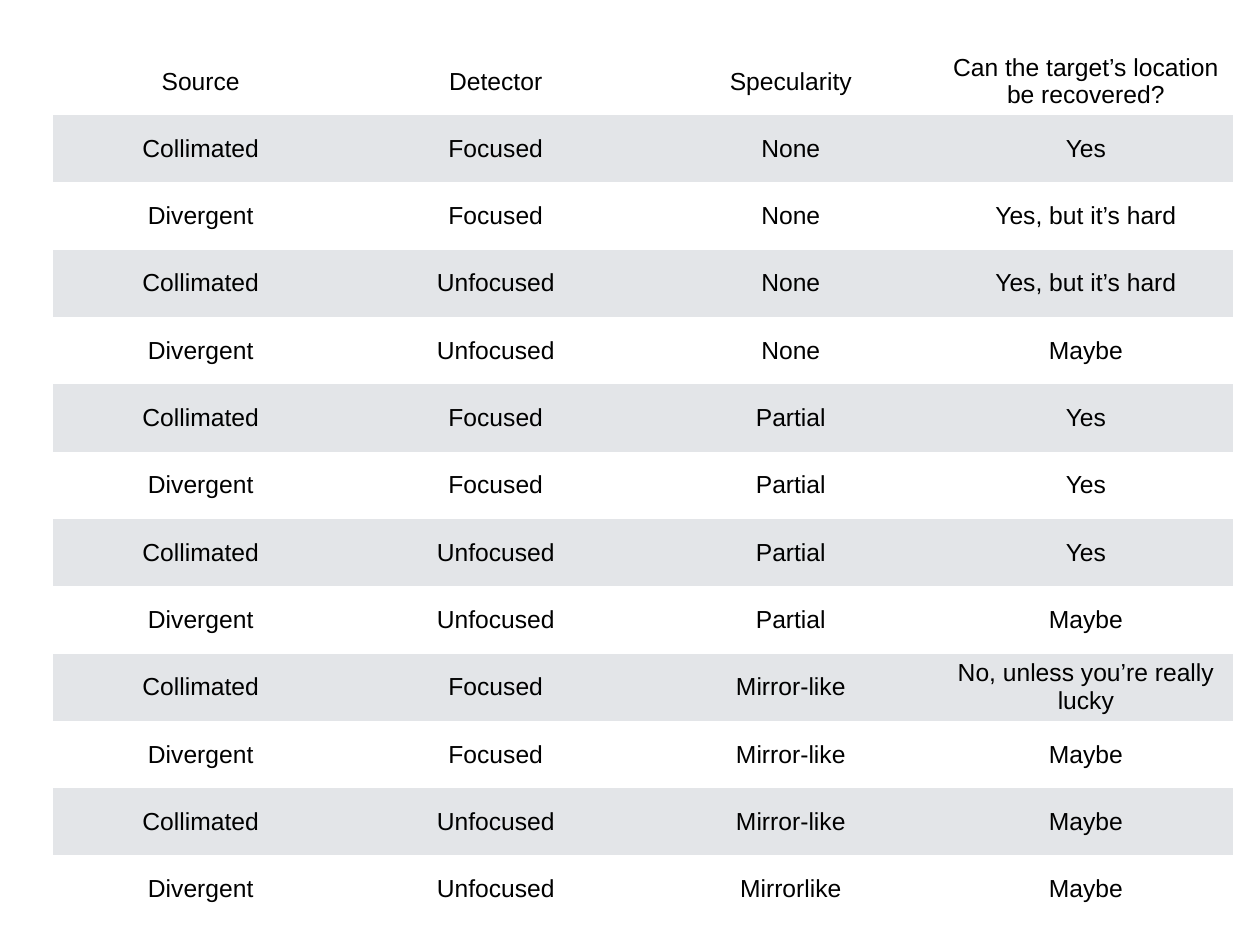
from typing import NamedTuple

from pptx import Presentation
from pptx import util as u
from pptx.dml.color import RGBColor
from pptx.enum import text
from pptx.oxml.ns import qn

PX = 9144  # EMU per px, 100 px to the inch
SLIDE_W, SLIDE_H = 1422, 1067
LEFT, TOP = 60, 54
COL_W, ROW_H = 333, 76
INSET = 6

WHITE = RGBColor(0xFF, 0xFF, 0xFF)
BAND = RGBColor(0xE3, 0xE5, 0xE8)
BLACK = RGBColor(0x00, 0x00, 0x00)
NO_STYLE_NO_GRID = "{2D5ABB26-0587-4C30-8999-92F81FD0307C}"

CELL_FORMAT = {
    "vertical_anchor": text.MSO_ANCHOR.MIDDLE,
    "margin_left": INSET * PX,
    "margin_right": INSET * PX,
    "margin_top": INSET * PX,
    "margin_bottom": INSET * PX,
}
FONT_FORMAT = {"name": "Arial", "size": u.Pt(20)}


class Setup(NamedTuple):
    source: str
    detector: str
    specularity: str
    recovered: str


ROWS = [
    Setup("Source", "Detector", "Specularity", "Can the target’s location be recovered?"),
    Setup("Collimated", "Focused", "None", "Yes"),
    Setup("Divergent", "Focused", "None", "Yes, but it’s hard"),
    Setup("Collimated", "Unfocused", "None", "Yes, but it’s hard"),
    Setup("Divergent", "Unfocused", "None", "Maybe"),
    Setup("Collimated", "Focused", "Partial", "Yes"),
    Setup("Divergent", "Focused", "Partial", "Yes"),
    Setup("Collimated", "Unfocused", "Partial", "Yes"),
    Setup("Divergent", "Unfocused", "Partial", "Maybe"),
    Setup("Collimated", "Focused", "Mirror-like", "No, unless you’re really lucky"),
    Setup("Divergent", "Focused", "Mirror-like", "Maybe"),
    Setup("Collimated", "Unfocused", "Mirror-like", "Maybe"),
    Setup("Divergent", "Unfocused", "Mirrorlike", "Maybe"),
]


def set_attributes(target: object, values: dict) -> None:
    for name, value in values.items():
        setattr(target, name, value)


def fill_cell(cell, label: str, color: RGBColor) -> None:
    set_attributes(cell, CELL_FORMAT)
    cell.fill.solid()
    cell.fill.fore_color.rgb = color
    p = cell.text_frame.paragraphs[0]
    p.alignment = text.PP_ALIGN.CENTER
    r = p.add_run()
    r.text = label
    set_attributes(r.font, FONT_FORMAT)
    r.font.color.rgb = BLACK


def add_setup_table(s, rows: list[Setup]) -> None:
    """Draw the rows as a borderless table, shading every second one."""
    n_cols = len(Setup._fields)
    size = (n_cols * COL_W, len(rows) * ROW_H)
    box = [v * PX for v in (LEFT, TOP, *size)]
    table = s.shapes.add_table(len(rows), n_cols, *box).table
    set_attributes(table, {"first_row": False, "horz_banding": False})
    table._tbl.tblPr.find(qn("a:tableStyleId")).text = NO_STYLE_NO_GRID
    for i, setup in enumerate(rows):
        for j, label in enumerate(setup):
            fill_cell(table.cell(i, j), label, BAND if i % 2 else WHITE)


def main() -> None:
    prs = Presentation()
    prs.slide_width, prs.slide_height = SLIDE_W * PX, SLIDE_H * PX
    s = prs.slides.add_slide(prs.slide_layouts[6])
    add_setup_table(s, ROWS)
    prs.save("out.pptx")


if __name__ == "__main__":
    main()
